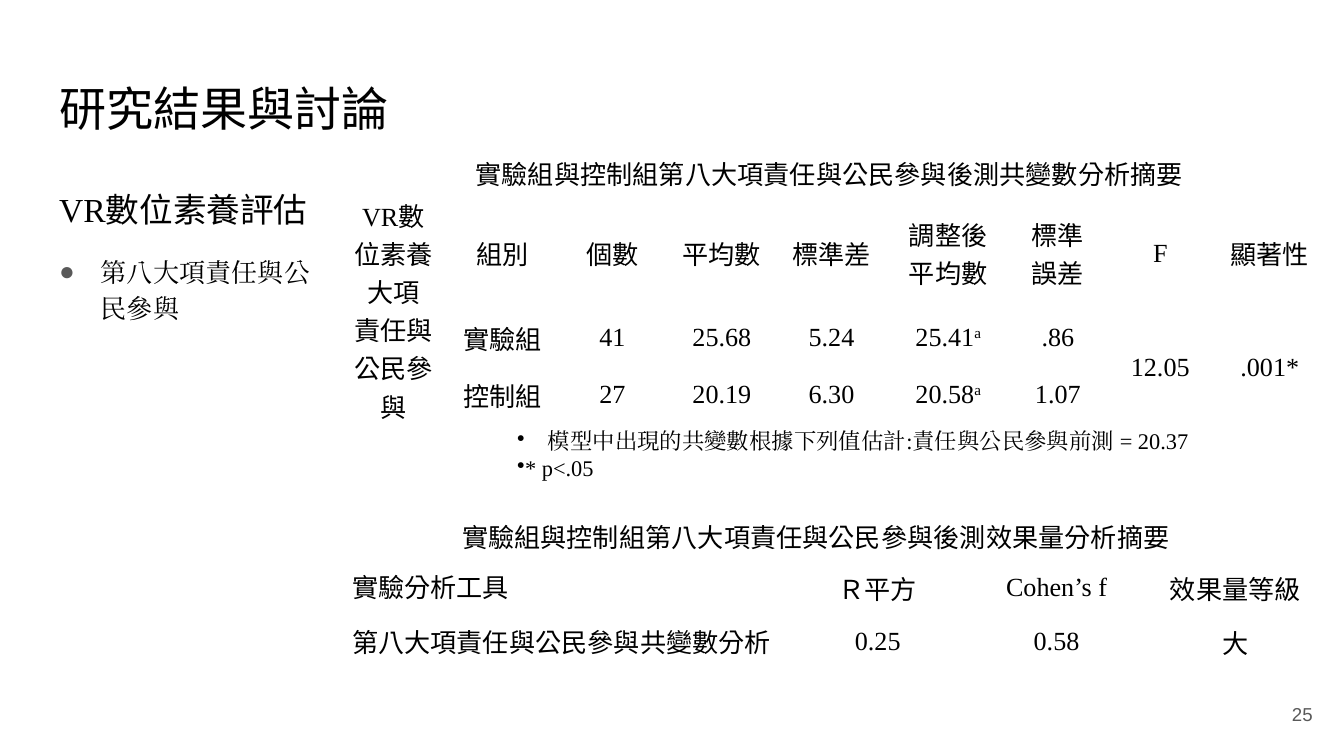
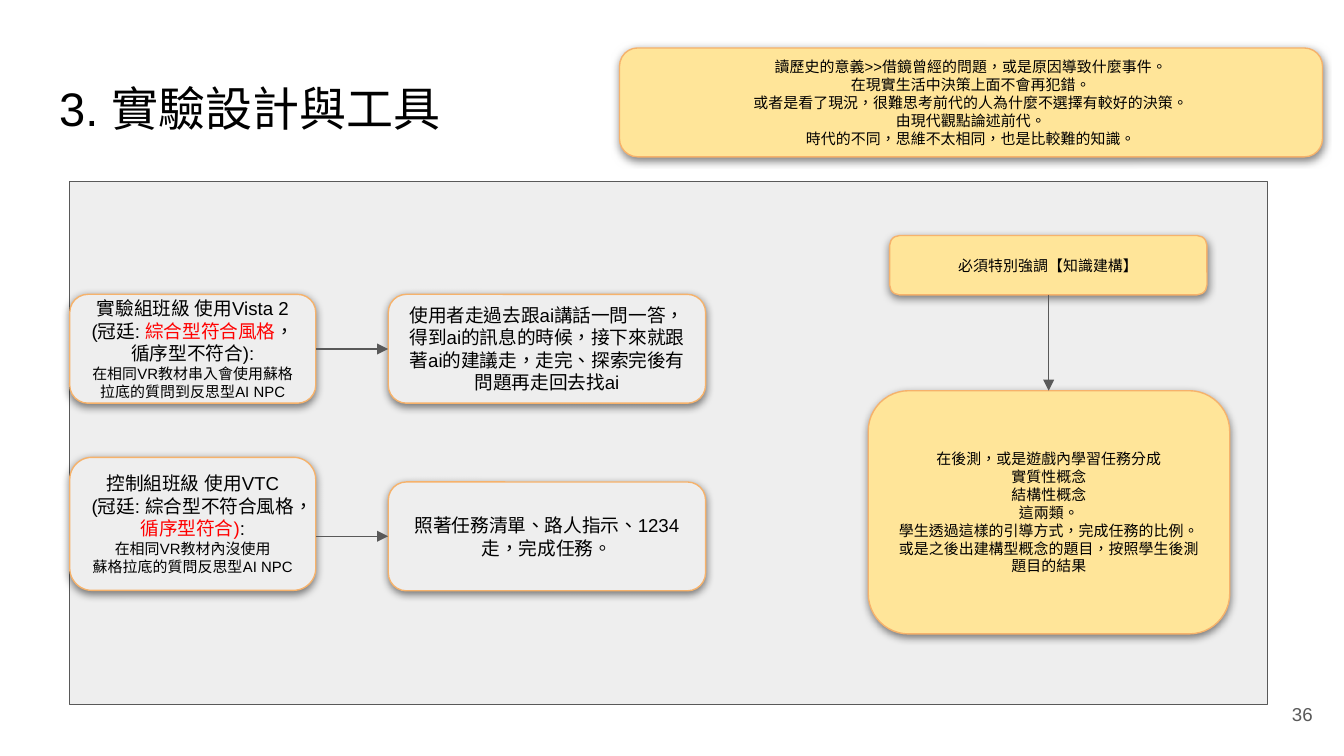
from lxml.etree import SubElement
from pptx import Presentation
from pptx.dml.color import RGBColor
from pptx.enum.shapes import MSO_CONNECTOR, MSO_SHAPE
from pptx.enum.text import MSO_ANCHOR, MSO_AUTO_SIZE, PP_ALIGN
from pptx.oxml.ns import qn
from pptx.util import Pt

# Shared look
BLACK, GREY, RED = "000000", "595959", "FF0000"
PANEL, YELLOW, ORANGE = "EEEEEE", "FFE599", "F6B26B"
TIMES, ARIAL, NOTO = "Times New Roman", "Arial", "Noto Sans CJK SC"
PLAIN_TABLE = "{2D5ABB26-0587-4C30-8999-92F81FD0307C}"
LEFT, CENTER, RIGHT = PP_ALIGN.LEFT, PP_ALIGN.CENTER, PP_ALIGN.RIGHT
INSET = 7.2


def write(para, text, size=14, font=TIMES, east=None, color=BLACK, align=LEFT, baseline=None):
    """Append Traditional Chinese text to a paragraph; a newline becomes a line break."""
    para.alignment = align
    for number, line in enumerate(text.split("\n")):
        if number:
            para.add_line_break()
        span = para.add_run()
        span.text = line
        span.font.size = Pt(size)
        span.font.color.rgb = RGBColor.from_string(color)
        span.font.name = font
        properties = span._r.get_or_add_rPr()
        properties.set("lang", "zh-TW")
        SubElement(properties, qn("a:ea"), typeface=east or font)
        if baseline:
            properties.set("baseline", str(baseline * 1000))


def set_frame(frame, inset=INSET, anchor=MSO_ANCHOR.MIDDLE, wrap=True):
    """Set margins, anchor and wrapping, and return the first paragraph."""
    frame.auto_size = MSO_AUTO_SIZE.NONE
    frame.margin_left = frame.margin_right = Pt(INSET)
    frame.margin_top = frame.margin_bottom = Pt(inset)
    frame.vertical_anchor = anchor
    frame.word_wrap = wrap
    return frame.paragraphs[0]


deck = Presentation()
deck.slide_width, deck.slide_height = Pt(720), Pt(405)

# Titles and page numbers
pages = []
for layout, title, number in [(1, "研究結果與討論", "25"), (5, "3. 實驗設計與工具", "36")]:
    page = deck.slides.add_slide(deck.slide_layouts[layout])
    pages.append(page)
    box = page.shapes.title
    box.left, box.top, box.width, box.height = Pt(24.5), Pt(35), Pt(671), Pt(45.1)
    write(set_frame(box.text_frame), title, size=25.2, font=ARIAL)
    box = page.shapes.add_textbox(Pt(667.1), Pt(367.2), Pt(43.2), Pt(31))
    write(set_frame(box.text_frame), number, size=10, font=ARIAL, color=GREY, align=RIGHT)
results, design = pages

# Slide 1: topic list
body = results.placeholders[1]
body.left, body.top, body.width, body.height = Pt(24.5), Pt(90.7), Pt(157), Pt(262)
heading = set_frame(body.text_frame, anchor=MSO_ANCHOR.TOP)
topic = body.text_frame.add_paragraph()
for para, indent in [(heading, 0), (topic, 22.3)]:
    para.line_spacing = 1.15
    para.space_before, para.space_after = Pt(0), Pt(12)
    properties = para._p.get_or_add_pPr()
    properties.set("marL", str(Pt(indent)))
    properties.set("indent", str(-Pt(indent)))
    if indent:
        bullet_color = SubElement(properties, qn("a:buClr"))
        SubElement(bullet_color, qn("a:srgbClr"), val=GREY)
        SubElement(properties, qn("a:buChar"), char="●")
    else:
        SubElement(properties, qn("a:buNone"))
write(heading, "VR", size=18)
write(heading, "數位素養評估", size=18, font=NOTO)
write(topic, "第八大項責任與公民參與")

# Slide 1: table captions
for left, top, ending in [(247.7, 81.4, "後測共變數分析摘要"), (240.5, 275.8, "後測效果量分析摘要")]:
    box = results.shapes.add_textbox(Pt(left), Pt(top), Pt(396), Pt(24.5))
    para = set_frame(box.text_frame, inset=3.6, anchor=MSO_ANCHOR.TOP, wrap=False)
    write(para, "實驗組與控制組", font=NOTO)
    write(para, "第八大項責任與公民參與", east=NOTO)
    write(para, ending, font=NOTO)

# Slide 1: tables; ^ marks a superscript, None a cell covered by a merge
covariance = [
    ["VR數位素養大項", "組別", "個數", "平均數", "標準差", "調整後平均數", "標準誤差", "F", "顯著性"],
    ["責任與公民參與", "實驗組", "41", "25.68", "5.24", "25.41^a", ".86", "12.05", ".001*"],
    [None, "控制組", "27", "20.19", "6.30", "20.58^a", "1.07", None, None],
]
effect = [
    ["實驗分析工具", "Ｒ平方", "Cohen’s f", "效果量等級"],
    ["第八大項責任與公民參與共變數分析", "0.25", "0.58", "大"],
]
covariance_widths = [58.7] * 5 + [66.5, 51] + [58.7] * 2
effect_widths = [241] + [95.8] * 3
for top, rows, widths, heights, first_align, inset in [
    (105, covariance, covariance_widths, [61, 29.2, 29.2], CENTER, 0),
    (300.2, effect, effect_widths, [29.2, 29.2], LEFT, 3.6),
]:
    frame = results.shapes.add_table(
        len(rows), len(widths), Pt(181.4), Pt(top), Pt(sum(widths)), Pt(sum(heights)))
    table = frame.table
    table.first_row = table.horz_banding = False
    table._tbl.tblPr.find(qn("a:tableStyleId")).text = PLAIN_TABLE
    for column, width in zip(table.columns, widths):
        column.width = Pt(width)
    for row, height in zip(table.rows, heights):
        row.height = Pt(height)
    for y, row in enumerate(rows):
        for x, value in enumerate(row):
            cell = table.cell(y, x)
            cell.fill.background()
            cell.margin_top = cell.margin_bottom = Pt(inset)
            if value is None:
                table.cell(y - 1, x).merge(cell)
                continue
            align = CENTER if x else first_align
            cell.vertical_anchor = MSO_ANCHOR.MIDDLE if align == CENTER else MSO_ANCHOR.TOP
            para = cell.text_frame.paragraphs[0]
            value, _, raised = value.partition("^")
            write(para, value, east=NOTO, align=align)
            if raised:
                write(para, raised, align=align, baseline=30)

# Slide 1: table notes
box = results.shapes.add_textbox(Pt(270), Pt(225.4), Pt(391), Pt(36))
first = set_frame(box.text_frame, inset=3.6)
second = box.text_frame.add_paragraph()
for para, indent, note in [
    (first, 16.5, "模型中出現的共變數根據下列值估計:責任與公民參與前測 = 20.37"),
    (second, 0, "* p<.05"),
]:
    properties = para._p.get_or_add_pPr()
    properties.set("marL", str(Pt(indent)))
    properties.set("indent", str(-Pt(indent)))
    SubElement(properties, qn("a:buChar"), char="•")
    write(para, note, size=12)

# Slide 2: panel behind the flow
panel = design.shapes.add_shape(MSO_SHAPE.RECTANGLE, Pt(37.4), Pt(97.4), Pt(641.5), Pt(280))
panel.shadow.inherit = False
panel.fill.solid()
panel.fill.fore_color.rgb = RGBColor.from_string(PANEL)
panel.line.color.rgb = RGBColor.from_string(GREY)
panel.line.width = Pt(0.75)

# Slide 2: cards, each a list of paragraphs made of (text, size, colour) spans
cards = [
    (37.4, 245, 131.8, 71.3, PANEL, [
        [("控制組班級 使用VTC\n(冠廷: 綜合型不符合風格，", 10, BLACK),
         ("循序型符合)", 10, RED), (":", 10, BLACK)],
        [("在相同VR教材內沒使用\n蘇格拉底的質問反思型AI NPC", 8, BLACK)]]),
    (37.4, 157.7, 131.8, 58.3, PANEL, [
        [("實驗組班級 使用Vista 2\n(冠廷: ", 10, BLACK),
         ("綜合型符合風格", 10, RED), ("，循序型不符合):", 10, BLACK)],
        [("在相同VR教材串入會使用蘇格拉底的質問到反思型AI NPC", 8, BLACK)]]),
    (208, 258.2, 170, 58.3, PANEL, [
        [("照著任務清單、路人指示、1234走，完成任務。", 10, BLACK)]]),
    (208, 157.7, 170, 58.3, PANEL, [
        [("使用者走過去跟ai講話一問一答，得到ai的訊息的時候，"
          "接下來就跟著ai的建議走，走完、探索完後有問題再走回去找ai", 10, BLACK)]]),
    (331.9, 25.7, 376.6, 58.3, YELLOW, [[(line, 8, BLACK)] for line in (
        "讀歷史的意義>>借鏡曾經的問題，或是原因導致什麼事件。",
        "在現實生活中決策上面不會再犯錯。",
        "或者是看了現況，很難思考前代的人為什麼不選擇有較好的決策。",
        "由現代觀點論述前代。",
        "時代的不同，思維不太相同，也是比較難的知識。")]),
    (476.6, 126.2, 170, 31.8, YELLOW, [[("必須特別強調【知識建構】", 8, BLACK)]]),
    (465.1, 209.3, 193.7, 130.3, YELLOW, [[(line, 8, BLACK)] for line in (
        "在後測，或是遊戲內學習任務分成",
        "實質性概念",
        "結構性概念",
        "這兩類。",
        "學生透過這樣的引導方式，完成任務的比例。",
        "或是之後出建構型概念的題目，按照學生後測題目的結果")]),
]
for left, top, width, height, fill, paragraphs in cards:
    card = design.shapes.add_shape(
        MSO_SHAPE.ROUNDED_RECTANGLE, Pt(left), Pt(top), Pt(width), Pt(height))
    card.fill.solid()
    card.fill.fore_color.rgb = RGBColor.from_string(fill)
    card.line.color.rgb = RGBColor.from_string(ORANGE)
    card.line.width = Pt(0.75)
    card.shadow.inherit = False
    effects = card._element.spPr.find(qn("a:effectLst"))
    shadow = SubElement(effects, qn("a:outerShdw"), blurRad=str(Pt(4.5)), dist=str(Pt(1.5)),
                        dir="5400000", algn="bl", rotWithShape="0")
    shade = SubElement(shadow, qn("a:srgbClr"), val=BLACK)
    SubElement(shade, qn("a:alpha"), val="50000")
    para = set_frame(card.text_frame)
    for number, spans in enumerate(paragraphs):
        if number:
            para = card.text_frame.add_paragraph()
        for text, size, color in spans:
            write(para, text, size=size, font=ARIAL, color=color, align=CENTER)

# Slide 2: arrows between the cards
for start_x, start_y, end_x, end_y in [
    (169.2, 287.3, 208, 287.3),
    (169.2, 187, 208, 187),
    (561.8, 158, 561.8, 209.3),
]:
    arrow = design.shapes.add_connector(
        MSO_CONNECTOR.STRAIGHT, Pt(start_x), Pt(start_y), Pt(end_x), Pt(end_y))
    arrow.line.color.rgb = RGBColor.from_string(GREY)
    arrow.line.width = Pt(0.75)
    SubElement(arrow.line._get_or_add_ln(), qn("a:tailEnd"), type="triangle")
    SubElement(arrow._element.spPr, qn("a:effectLst"))

deck.save("out.pptx")
